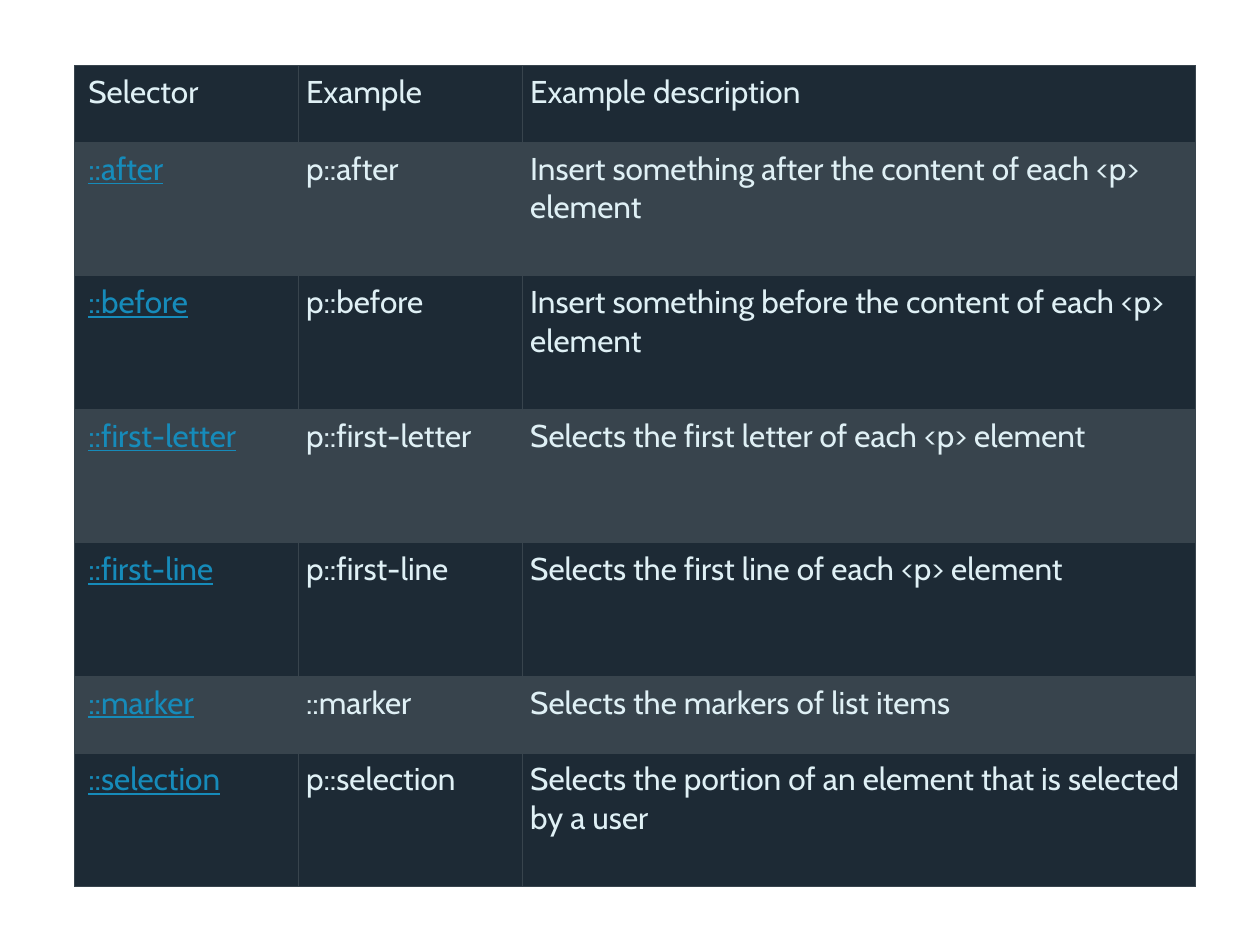
from lxml.etree import SubElement
from pptx import Presentation
from pptx.dml.color import RGBColor
from pptx.oxml.ns import qn
from pptx.util import Cm, Pt

COLORS = {
    "dark": "1D2A35",
    "slate": "38444D",
    "text": "DFF0F5",
    "link": "168BBA",
}
HEADER = ("Selector", "Example", "Example description")
SELECTORS = [
    ("::after", "p::after", "Insert something after the content of each <p> element"),
    ("::before", "p::before", "Insert something before the content of each <p> element"),
    ("::first-letter", "p::first-letter", "Selects the first letter of each <p> element"),
    ("::first-line", "p::first-line", "Selects the first line of each <p> element"),
    ("::marker", "::marker", "Selects the markers of list items"),
    ("::selection", "p::selection",
     "Selects the portion of an element that is selected by a user"),
]
COLUMN_WIDTHS = (4.52, 4.52, 13.56)
SHORT_ROW, TALL_ROW = 1.55, 2.69
SHORT_ROWS = ("Selector", "::marker")


def write(frame, text, color="text", size=18, font="Cabin", underline=False):
    span = frame.paragraphs[0].add_run()
    span.text = text
    span.font.name = font
    span.font.size = Pt(size)
    span.font.underline = underline
    span.font.color.rgb = RGBColor.from_string(COLORS[color])


class SlideBuilder:
    def __init__(self, page, border="slate", border_width=0.5, padding=0.15, indent=0.28):
        self.page = page
        self.border = border
        self.border_width = border_width
        self.padding = padding
        self.indent = indent

    def table(self, left, top, widths, heights):
        frame = self.page.shapes.add_table(
            len(heights), len(widths), Cm(left), Cm(top), Cm(sum(widths)), Cm(sum(heights)))
        table = frame.table
        for column, width in zip(table.columns, widths):
            column.width = Cm(width)
        for row, height in zip(table.rows, heights):
            row.height = Cm(height)
        return table

    def cell(self, cell, text, fill, first=False, **text_format):
        cell.margin_left = Cm(self.indent if first else self.padding)
        cell.margin_right = cell.margin_top = cell.margin_bottom = Cm(self.padding)
        self.borders(cell)
        cell.fill.solid()
        cell.fill.fore_color.rgb = RGBColor.from_string(COLORS[fill])
        write(cell.text_frame, text, **text_format)

    def borders(self, cell):
        properties = cell._tc.get_or_add_tcPr()
        for side in ("a:lnL", "a:lnR", "a:lnT", "a:lnB"):
            line = SubElement(properties, qn(side), w=str(Pt(self.border_width)))
            fill = SubElement(line, qn("a:solidFill"))
            SubElement(fill, qn("a:srgbClr"), val=COLORS[self.border])


def main():
    deck = Presentation()
    deck.slide_width, deck.slide_height = Cm(25.4), Cm(19.05)
    builder = SlideBuilder(deck.slides.add_slide(deck.slide_layouts[6]))

    rows = [HEADER, *SELECTORS]
    heights = [SHORT_ROW if row[0] in SHORT_ROWS else TALL_ROW for row in rows]
    table = builder.table(1.5, 1.32, COLUMN_WIDTHS, heights)
    for row_index, row in enumerate(rows):
        fill = "slate" if row_index % 2 else "dark"
        for column_index, text in enumerate(row):
            first = column_index == 0
            linked = first and row_index > 0
            builder.cell(table.cell(row_index, column_index), text, fill, first=first,
                         color="link" if linked else "text", underline=linked)

    deck.save("out.pptx")


if __name__ == "__main__":
    main()
